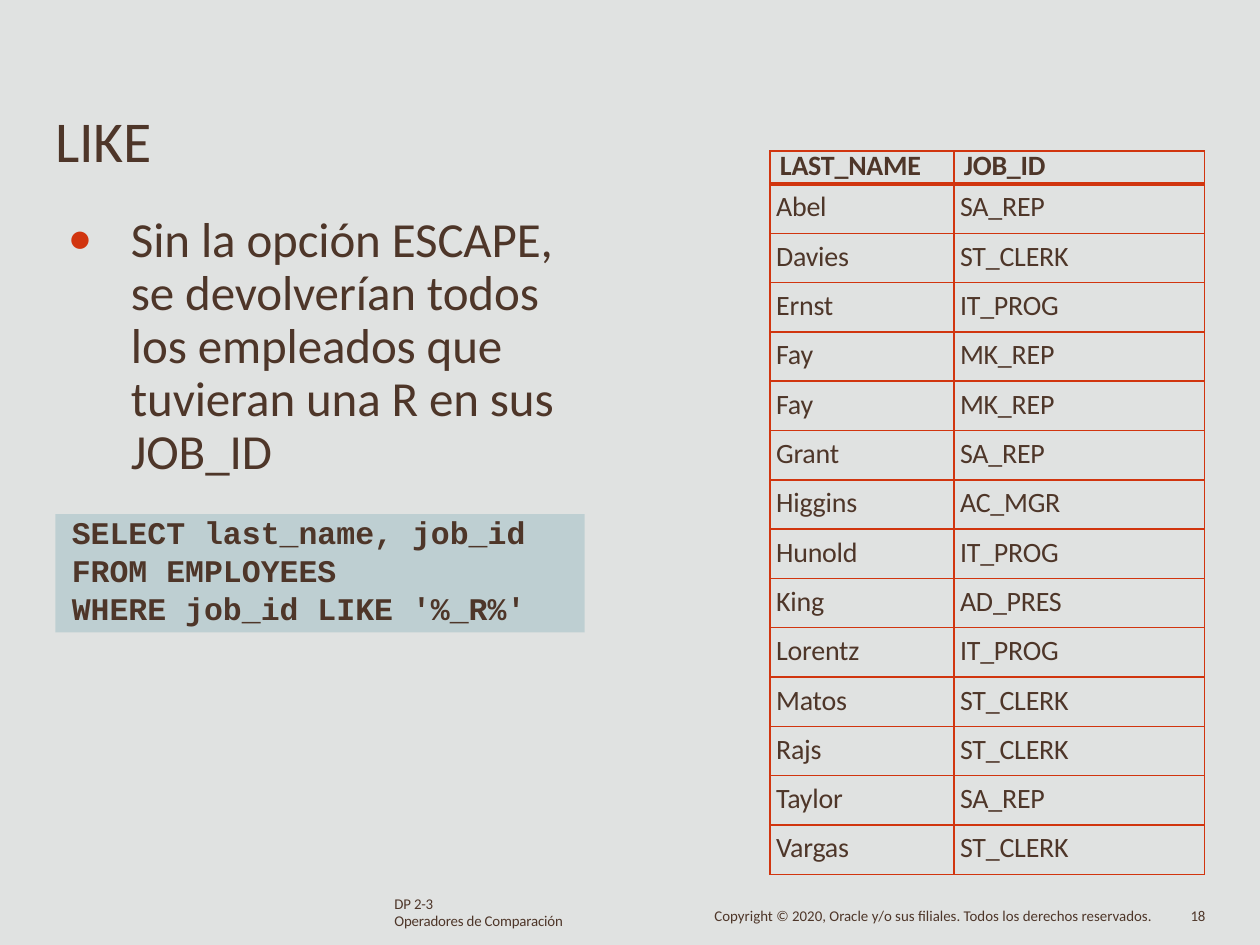
import pptx
import pptx.dml.color
import pptx.enum.shapes
import pptx.enum.text
import pptx.oxml
import pptx.oxml.ns
import pptx.util
from pptx.util import Inches, Pt

BROWN, RED, GREY, TEAL = "4E3629", "D1350F", "E0E2E1", "9DBEC4"
WIDTH, HEIGHT = 10, 7.5
TITLE = "LIKE"
BULLET = ("Sin la opción ESCAPE, se devolverían todos los empleados "
          "que tuvieran una R en sus JOB_ID")
QUERY = ["SELECT last_name, job_id", "FROM EMPLOYEES", "WHERE job_id LIKE '%_R%'"]
HEADER = ("LAST_NAME", "JOB_ID")
EMPLOYEES = [
    ("Abel", "SA_REP"), ("Davies", "ST_CLERK"), ("Ernst", "IT_PROG"),
    ("Fay", "MK_REP"), ("Fay", "MK_REP"), ("Grant", "SA_REP"),
    ("Higgins", "AC_MGR"), ("Hunold", "IT_PROG"), ("King", "AD_PRES"),
    ("Lorentz", "IT_PROG"), ("Matos", "ST_CLERK"), ("Rajs", "ST_CLERK"),
    ("Taylor", "SA_REP"), ("Vargas", "ST_CLERK"),
]
# Footer: lines, box, indent, line spacings, tracking
FOOTER = [
    (["DP 2-3", "Operadores de Comparación"], (3.12, 7.12, 1.41, 0.27), 0.01, (8.6, 9.7), -0.1),
    (["Copyright © 2020, Oracle y/o sus filiales. Todos los derechos reservados."],
     (5.66, 7.21, 3.52, 0.15), 0.01, (9.1,), 0),
    (["18"], (9.41, 7.21, 0.22, 0.15), 0.04, (9.1,), -0.2),
]
COL_WIDTHS = (1.46, 1.99)
TABLE_HEIGHT, HEADER_HEIGHT = 5.74, 0.26


def rgb(color):
    return pptx.dml.color.RGBColor.from_string(color)


def add_xml(parent, xml):
    ns = pptx.oxml.ns.nsdecls("a")
    parent.append(pptx.oxml.parse_xml(xml.replace(" ", f" {ns} ", 1)))


def paint(sp, color):
    sp.shadow.inherit = False
    sp.line.fill.background()
    sp.fill.solid()
    sp.fill.fore_color.rgb = rgb(color)


def style(p, size, font="Calibri", bold=False, left=0.01, hang=0, spacing=None, track=0):
    pPr = p._p.get_or_add_pPr()
    pPr.set("marL", str(Inches(left)))
    pPr.set("indent", str(Inches(-hang)))
    if spacing:
        p.line_spacing = Pt(spacing)
    for r in p.runs:
        r.font.size, r.font.name, r.font.bold = Pt(size), font, bold
        r.font.color.rgb = rgb(BROWN)
        if track:
            r._r.get_or_add_rPr().set("spc", str(round(track * 100)))


def fill_frame(tf, lines, top=0):
    tf.word_wrap = True
    tf.margin_left = tf.margin_right = tf.margin_bottom = 0
    tf.margin_top = Inches(top)
    tf.vertical_anchor = pptx.enum.text.MSO_ANCHOR.TOP
    tf.text = "\n".join(lines)
    return tf.paragraphs


def add_text(slide, lines, box, top=0):
    sp = slide.shapes.add_textbox(*map(Inches, box))
    return fill_frame(sp.text_frame, lines, top)


def add_backdrop(slide):
    builder = slide.shapes.build_freeform(Inches(WIDTH), 0)
    corners = [(0, 0), (0, HEIGHT), (WIDTH, HEIGHT)]
    builder.add_line_segments([(Inches(x), Inches(y)) for x, y in corners], close=True)
    paint(builder.convert_to_shape(), GREY)


def set_borders(cell, **widths):
    tcPr = cell._tc.get_or_add_tcPr()
    for side in "LRTB":
        add_xml(tcPr, f'<a:ln{side} w="{Pt(widths.get(side, 1))}"><a:solidFill>'
                      f'<a:srgbClr val="{RED}"/></a:solidFill></a:ln{side}>')


def add_employee_table(slide):
    rows = [HEADER] + EMPLOYEES
    frame = slide.shapes.add_table(len(rows), len(HEADER), Inches(6.11), Inches(1.2),
                                   Inches(sum(COL_WIDTHS)), Inches(TABLE_HEIGHT))
    table = frame.table
    table.first_row = table.horz_banding = False
    for column, width in zip(table.columns, COL_WIDTHS):
        column.width = Inches(width)
    row_height = (TABLE_HEIGHT - HEADER_HEIGHT) / len(EMPLOYEES)
    for i, values in enumerate(rows):
        header = i == 0
        table.rows[i].height = Inches(HEADER_HEIGHT if header else row_height)
        for j, value in enumerate(values):
            cell = table.cell(i, j)
            cell.margin_left = cell.margin_right = cell.margin_bottom = 0
            cell.margin_top = Inches(0 if header else 0.05)
            cell.text_frame.text = value
            style(cell.text_frame.paragraphs[0], 16, bold=header, track=-0.1,
                  left=0.08 if header else 0.05, spacing=18.2 if header else None)
            set_borders(cell, T=2.25 if i == 1 else 1, B=2.25 if header else 1)
            cell.fill.background()


def add_query(slide):
    sp = slide.shapes.add_shape(pptx.enum.shapes.MSO_SHAPE.RECTANGLE,
                                *map(Inches, (0.44, 4.08, 4.2, 0.94)))
    paint(sp, TEAL)
    color = sp._element.spPr.find(".//" + pptx.oxml.ns.qn("a:srgbClr"))
    add_xml(color, '<a:alpha val="50000"/>')
    for i, p in enumerate(fill_frame(sp.text_frame, QUERY)):
        p.alignment = pptx.enum.text.PP_ALIGN.LEFT
        style(p, 18, "Courier New", bold=True, left=0.13, spacing=21.7 if i else 20.8)


def main():
    prs = pptx.Presentation()
    prs.slide_width, prs.slide_height = Inches(WIDTH), Inches(HEIGHT)
    slide = prs.slides.add_slide(prs.slide_layouts[6])
    add_backdrop(slide)

    # Title
    style(add_text(slide, [TITLE], (0.43, 0.82, 5.35, 0.58), 0.01)[0], 33, track=-0.2)

    # Bullet
    p = add_text(slide, [BULLET], (0.53, 1.63, 3.9, 2.17), 0.07)[0]
    pPr = p._p.get_or_add_pPr()
    add_xml(pPr, f'<a:buClr ><a:srgbClr val="{RED}"/></a:buClr>')
    add_xml(pPr, '<a:buFont typeface="Calibri"/>')
    add_xml(pPr, '<a:buChar char="•"/>')
    style(p, 28, left=0.51, hang=0.5, spacing=30.3, track=-0.05)

    # Query and its result
    add_query(slide)
    add_employee_table(slide)

    # Footer
    for lines, box, left, spacings, track in FOOTER:
        for p, spacing in zip(add_text(slide, lines, box), spacings):
            style(p, 8.5, left=left, spacing=spacing, track=track)

    prs.save("out.pptx")


if __name__ == "__main__":
    main()
